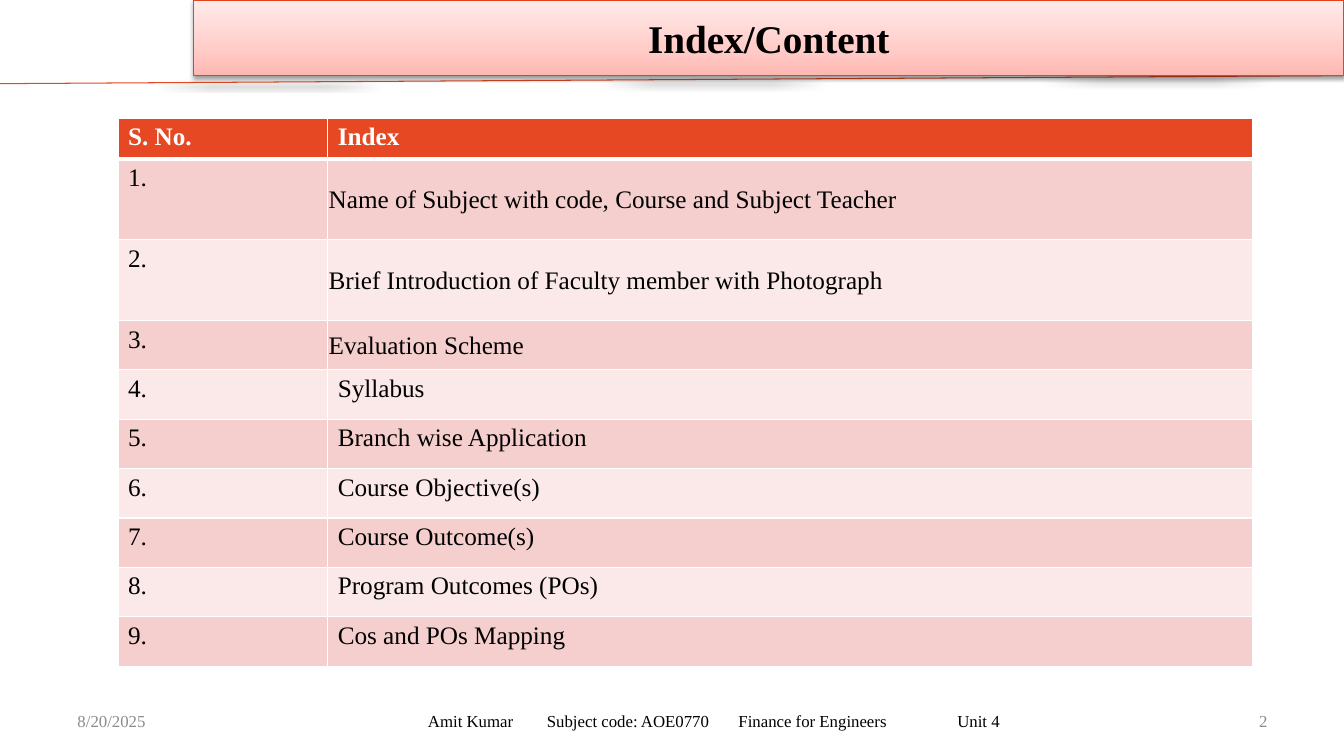
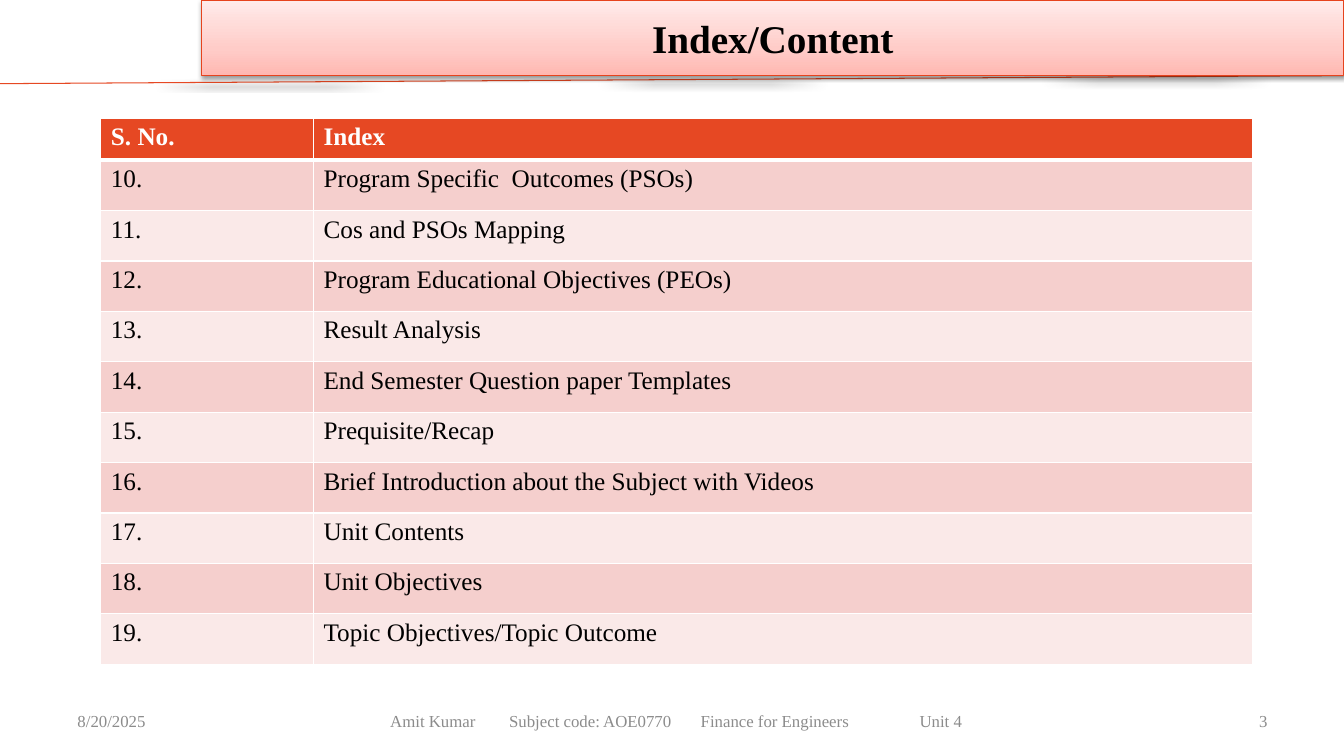
from copy import deepcopy
from dataclasses import dataclass

from lxml import etree
from pptx import Presentation
from pptx.dml.color import RGBColor
from pptx.enum.shapes import MSO_CONNECTOR, MSO_SHAPE
from pptx.enum.text import MSO_ANCHOR, PP_ALIGN
from pptx.oxml.ns import qn
from pptx.util import Inches, Pt

LEFT, CENTER, RIGHT = PP_ALIGN.LEFT, PP_ALIGN.CENTER, PP_ALIGN.RIGHT
TOP, MIDDLE = MSO_ANCHOR.TOP, MSO_ANCHOR.MIDDLE
RECT = MSO_SHAPE.RECTANGLE
STRAIGHT = MSO_CONNECTOR.STRAIGHT


@dataclass(frozen=True)
class Theme:
    font: str = "Times New Roman"
    title_size: int = 28
    table_size: int = 18
    footer_size: int = 12
    black: str = "000000"
    white: str = "FFFFFF"
    gray: str = "8C8C8C"
    accent: str = "E64823"
    title_line: str = "E6431D"
    title_stops: tuple = ((0, "FFB7B1"), (0.35, "FFCCC8"), (1, "FFEBEA"))
    bands: tuple = ("F5CFCD", "FAE9E8")


T = Theme()
SLIDE_W, SLIDE_H = 13.33, 7.5
TITLE_H = 0.75
TABLE_TOP, TABLE_RIGHT = 1.17, 12.42
FOOTER_TOP, FOOTER_H, FOOTER_RIGHT = 6.95, 0.4, 10.58
FOOTER_PARTS = ("Amit Kumar", "Subject code: AOE0770",
                "Finance for Engineers", "Unit 4")
FOOTER_TABS = (1.18, 3.08, 5.25)
FOOTER_TEXT_W = 5.67
DATE = "8/20/2025"

FIRST_TOPICS = (
    "Name of Subject with code, Course and Subject Teacher",
    "Brief Introduction of Faculty member with Photograph",
    "Evaluation Scheme",
    "Syllabus",
    "Branch wise Application",
    "Course Objective(s)",
    "Course Outcome(s)",
    "Program Outcomes (POs)",
    "Cos and POs Mapping",
)
SECOND_TOPICS = (
    "Program Specific  Outcomes (PSOs)",
    "Cos and PSOs Mapping",
    "Program Educational Objectives (PEOs)",
    "Result Analysis",
    "End Semester Question paper Templates",
    "Prequisite/Recap",
    "Brief Introduction about the Subject with Videos",
    "Unit Contents",
    "Unit Objectives",
    "Topic Objectives/Topic Outcome",
)


def rgb(color):
    return RGBColor.from_string(color)


def sub(parent, tag, **attrs):
    return etree.SubElement(parent, qn(tag),
                            {k: str(v) for k, v in attrs.items()})


def add_run(p, text, size, color, bold=False):
    r = p.add_run()
    r.text = text
    r.font.name = T.font
    r.font.size = Pt(size)
    r.font.bold = bold
    r.font.color.rgb = rgb(color)


def add_shadow(shape, alpha, blur, distance, angle):
    """Outer black shadow: alpha in percent, blur and distance in points."""
    effects = sub(shape._element.spPr, "a:effectLst")
    outer = sub(effects, "a:outerShdw", blurRad=Pt(blur), dist=Pt(distance),
                dir=angle * 60000, rotWithShape=0)
    color = sub(outer, "a:srgbClr", val=T.black)
    sub(color, "a:alpha", val=alpha * 1000)


def add_header_line(s):
    line = s.shapes.add_connector(STRAIGHT, 0, Inches(0.83),
                                  Inches(SLIDE_W), Inches(TITLE_H))
    line.line.color.rgb = rgb(T.accent)
    line.line.width = Pt(0.75)
    add_shadow(line, 40, 4, 3, 45)


def add_title(s, text, left):
    band = s.shapes.add_shape(RECT, Inches(left), 0,
                              Inches(SLIDE_W - left), Inches(TITLE_H))
    band.fill.gradient()
    band.fill.gradient_angle = 90
    stop_list = band._element.spPr.find(".//" + qn("a:gsLst"))
    stop_list.append(deepcopy(stop_list[0]))
    for stop, (position, color) in zip(band.fill.gradient_stops, T.title_stops):
        stop.position = position
        stop.color.rgb = rgb(color)
    band.line.color.rgb = rgb(T.title_line)
    band.line.width = Pt(0.75)
    add_shadow(band, 38, 3.1, 1.6, 90)
    tf = band.text_frame
    tf.vertical_anchor = MIDDLE
    p = tf.paragraphs[0]
    p.alignment = CENTER
    add_run(p, text, T.title_size, T.black, bold=True)


def add_footer_box(s, left, width, align):
    box = s.shapes.add_textbox(Inches(left), Inches(FOOTER_TOP),
                               Inches(width), Inches(FOOTER_H))
    tf = box.text_frame
    tf.word_wrap = True
    tf.vertical_anchor = MIDDLE
    tf.paragraphs[0].alignment = align
    return tf


def add_footer(s, number, left, color):
    for x, text, align in ((0.67, DATE, LEFT), (9.56, str(number), RIGHT)):
        tf = add_footer_box(s, x, 3.11, align)
        add_run(tf.paragraphs[0], text, T.footer_size, T.gray)
    width = FOOTER_RIGHT - left
    tf = add_footer_box(s, left, width, LEFT)
    tf.margin_left = Inches((width - FOOTER_TEXT_W) / 2)
    p = tf.paragraphs[0]
    tabs = sub(p._p.get_or_add_pPr(), "a:tabLst")
    for position in FOOTER_TABS:
        sub(tabs, "a:tab", pos=Inches(position), algn="l")
    add_run(p, "\t".join(FOOTER_PARTS), T.footer_size, color)


def set_borders(cell, top, bottom):
    tc_pr = cell._tc.get_or_add_tcPr()
    for side, width in (("L", 1), ("R", 1), ("T", top), ("B", bottom)):
        line = sub(tc_pr, "a:ln" + side, w=Pt(width))
        sub(sub(line, "a:solidFill"), "a:srgbClr", val=T.white)


def fill_cell(cell, text, row, snug):
    """Style a cell; a snug one is centred vertically with hardly any inset."""
    header = row == 0
    set_borders(cell, 3 if row == 1 else 1, 3 if header else 1)
    cell.fill.solid()
    cell.fill.fore_color.rgb = rgb(T.accent if header else T.bands[(row - 1) % 2])
    cell.vertical_anchor = MIDDLE if snug else TOP
    if snug:
        cell.margin_left = cell.margin_right = cell.margin_top = Inches(0.01)
        cell.margin_bottom = 0
    add_run(cell.text_frame.paragraphs[0], text, T.table_size,
            T.white if header else T.black, bold=header)


def add_index_table(s, topics, start, left, number_w, heights, snug_rows=0):
    """Numbered topics; the first snug_rows topics get snug cells."""
    rows = [("S. No.", "Index")]
    rows += [(f"{n}.", topic) for n, topic in enumerate(topics, start)]
    width = TABLE_RIGHT - left
    frame = s.shapes.add_table(len(rows), 2, Inches(left), Inches(TABLE_TOP),
                               Inches(width), Inches(sum(heights)))
    table = frame.table
    table.first_row = table.horz_banding = False
    for column, w in zip(table.columns, (number_w, width - number_w)):
        column.width = Inches(w)
    for i, (texts, height) in enumerate(zip(rows, heights)):
        table.rows[i].height = Inches(height)
        for j, text in enumerate(texts):
            fill_cell(table.cell(i, j), text, i, j == 1 and 1 <= i <= snug_rows)


def add_index_slide(prs, number, title_left, footer_left, footer_color, **table):
    s = prs.slides.add_slide(prs.slide_layouts[6])
    add_header_line(s)
    add_title(s, "Index/Content", title_left)
    add_index_table(s, **table)
    add_footer(s, number, footer_left, footer_color)


def main():
    prs = Presentation()
    prs.slide_width, prs.slide_height = Inches(SLIDE_W), Inches(SLIDE_H)
    add_index_slide(prs, 2, 1.92, 3.58, T.black, topics=FIRST_TOPICS, start=1,
                    left=1.17, number_w=2.08, snug_rows=3,
                    heights=[0.41] + [0.8] * 2 + [0.49] * 7)
    add_index_slide(prs, 3, 2, 2.83, T.gray, topics=SECOND_TOPICS, start=10,
                    left=1, number_w=2.11, heights=[0.42] + [0.5] * 10)
    prs.save("out.pptx")


if __name__ == "__main__":
    main()
